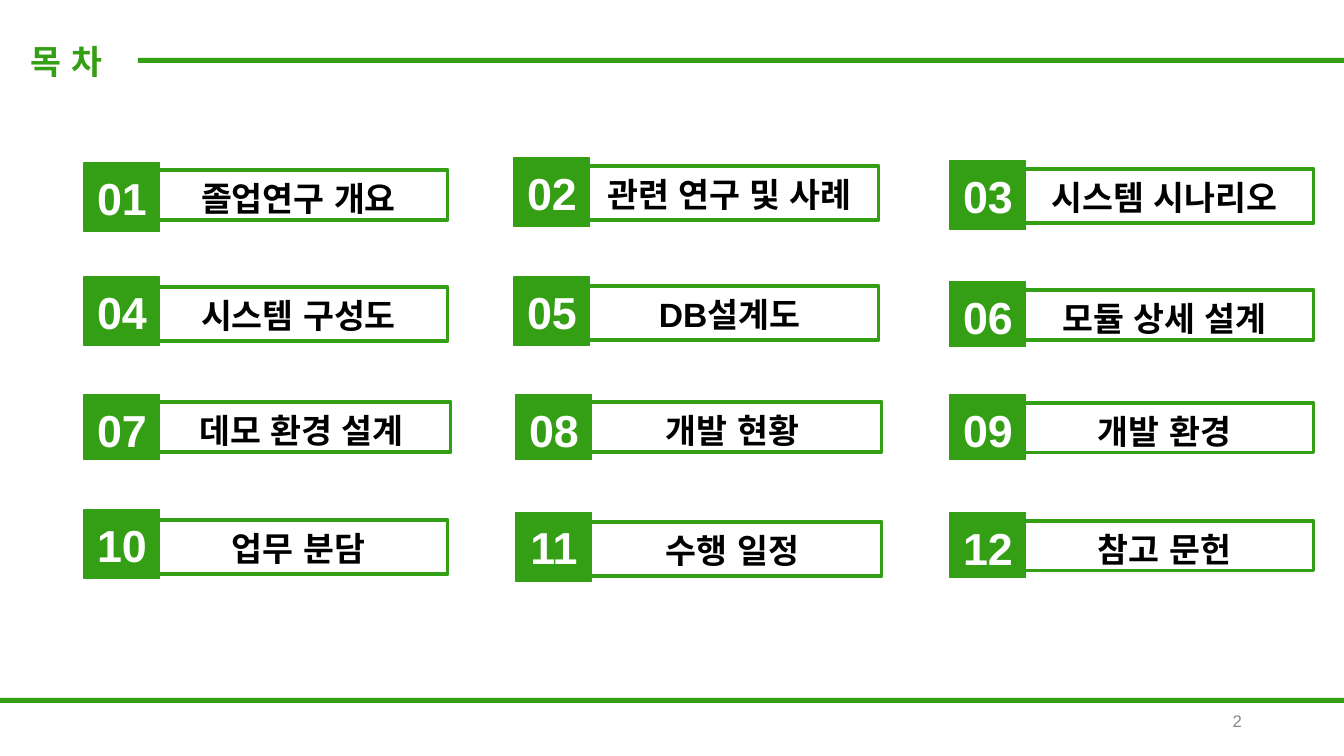
from pptx import Presentation
from pptx import util as u
from pptx.dml.color import RGBColor
from pptx.enum import shapes, text
from pptx.oxml.ns import qn
from lxml import etree

HEADING = "목 차"
PAGE = "2"
TOPICS = [
    # text, badge (left, top, height), label (left, top, height)
    ("졸업연구 개요", (84, 163, 69), (149, 170, 50)),
    ("관련 연구 및 사례", (514, 158, 69), (580, 166, 54)),
    ("시스템 시나리오", (950, 161, 69), (1015, 169, 54)),
    ("시스템 구성도", (84, 277, 69), (149, 287, 54)),
    ("DB설계도", (514, 277, 69), (580, 286, 54)),
    ("모듈 상세 설계", (950, 282, 65), (1015, 290, 50)),
    ("데모 환경 설계", (84, 395, 65), (152, 402, 50)),
    ("개발 현황", (516, 395, 65), (583, 402, 50)),
    ("개발 환경", (950, 395, 65), (1015, 403, 50)),
    ("업무 분담", (84, 510, 69), (149, 520, 54)),
    ("수행 일정", (516, 512, 69), (583, 522, 54)),
    ("참고 문헌", (950, 513, 65), (1015, 521, 50)),
]
RULES = [(138, 58, 1206, 5), (0, 698, 1344, 5)]
BADGE_WIDTH, LABEL_WIDTH = 76, 299

THEME = {
    "font": "Arial",
    "green": RGBColor.from_string("349F14"),
    "white": RGBColor.from_string("FFFFFF"),
    "black": RGBColor.from_string("000000"),
    "grey": RGBColor.from_string("888888"),
    "badge": 32,
    "body": 24,
    "page": 12,
}


def px(n):
    return round(n * 914400 / 100.8)


def write(box, words, size, color, align, bold=True, top=8, anchor=text.MSO_ANCHOR.TOP):
    frame = box.text_frame
    frame.word_wrap = True
    frame.vertical_anchor = anchor
    frame.margin_left = frame.margin_right = px(10)
    frame.margin_top, frame.margin_bottom = px(top), px(5)
    paragraph = frame.paragraphs[0]
    paragraph.text = words
    paragraph.alignment = align
    font = paragraph.font
    font.name = THEME["font"]
    font.size = u.Pt(THEME[size])
    font.bold = bold
    font.color.rgb = THEME[color]
    latin = paragraph._p.pPr.find(qn("a:defRPr")).find(qn("a:latin"))
    east_asian = etree.Element(qn("a:ea"), typeface=THEME["font"])
    latin.addnext(east_asian)


def rectangle(slide, area, filled=True, line=None):
    shape = slide.shapes.add_shape(shapes.MSO_SHAPE.RECTANGLE, *map(px, area))
    shape.shadow.inherit = False
    if filled:
        shape.fill.solid()
        shape.fill.fore_color.rgb = THEME["green"]
    else:
        shape.fill.background()
    if line:
        shape.line.color.rgb = THEME["green"]
        shape.line.width = u.Pt(line)
    else:
        shape.line.fill.background()
    return shape


def main():
    deck = Presentation()
    deck.slide_width, deck.slide_height = px(1344), px(756)
    slide = deck.slides.add_slide(deck.slide_layouts[6])
    align = text.PP_ALIGN

    for rule in RULES:
        rectangle(slide, rule)

    heading = slide.shapes.add_textbox(*map(px, (21, 33, 102, 50)))
    write(heading, HEADING, "body", "green", align.LEFT)
    page = slide.shapes.add_textbox(*map(px, (950, 701, 302, 40)))
    write(page, PAGE, "page", "grey", align.RIGHT, False, 5, text.MSO_ANCHOR.MIDDLE)

    for number, (topic, badge_at, label_at) in enumerate(TOPICS, 1):
        left, top, height = badge_at
        badge = rectangle(slide, (left, top, BADGE_WIDTH, height), line=0.75)
        write(badge, f"{number:02d}", "badge", "white", align.CENTER)
        left, top, height = label_at
        label = rectangle(slide, (left, top, LABEL_WIDTH, height), False, 2.25)
        write(label, topic, "body", "black", align.CENTER)

    deck.save("out.pptx")


if __name__ == "__main__":
    main()
